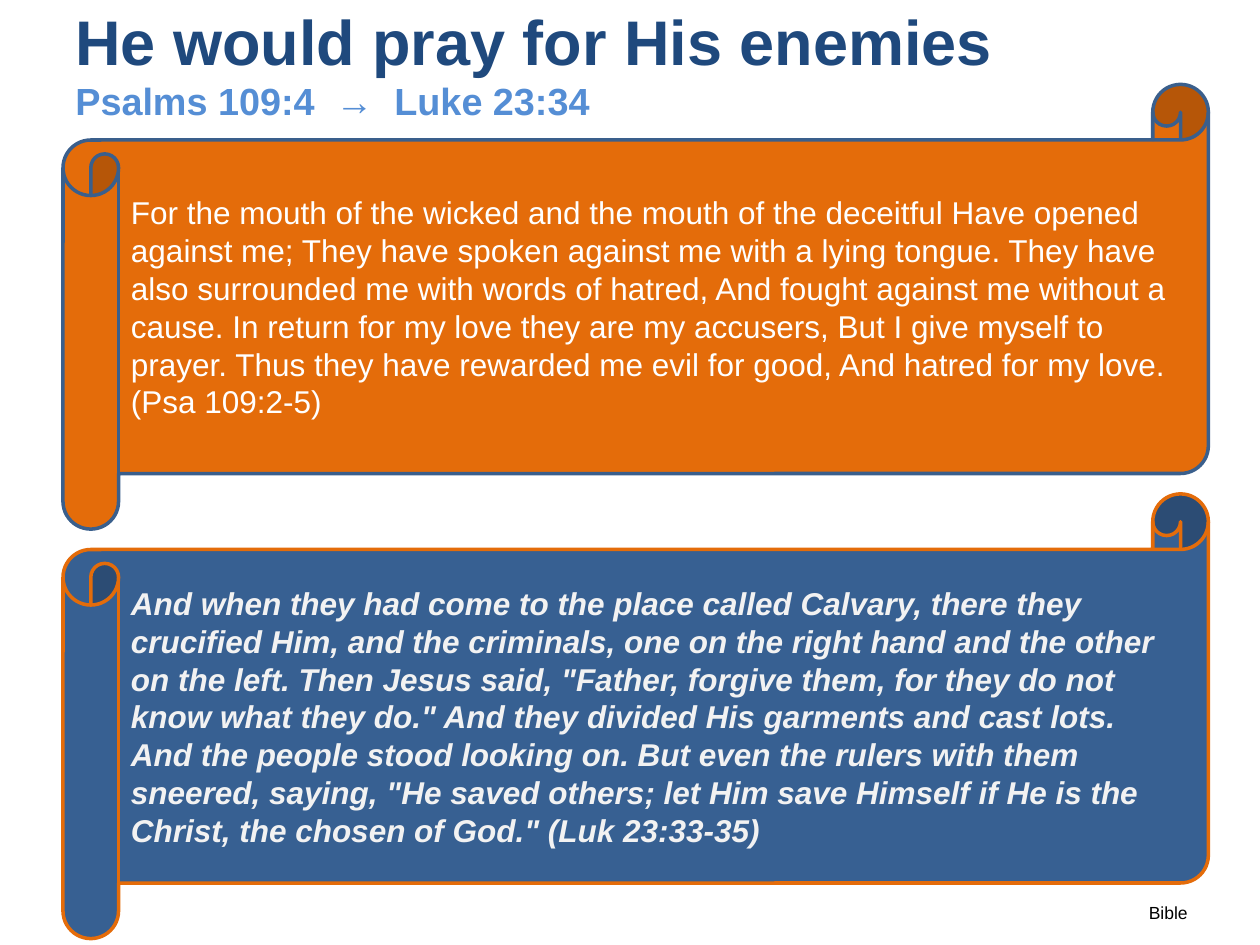
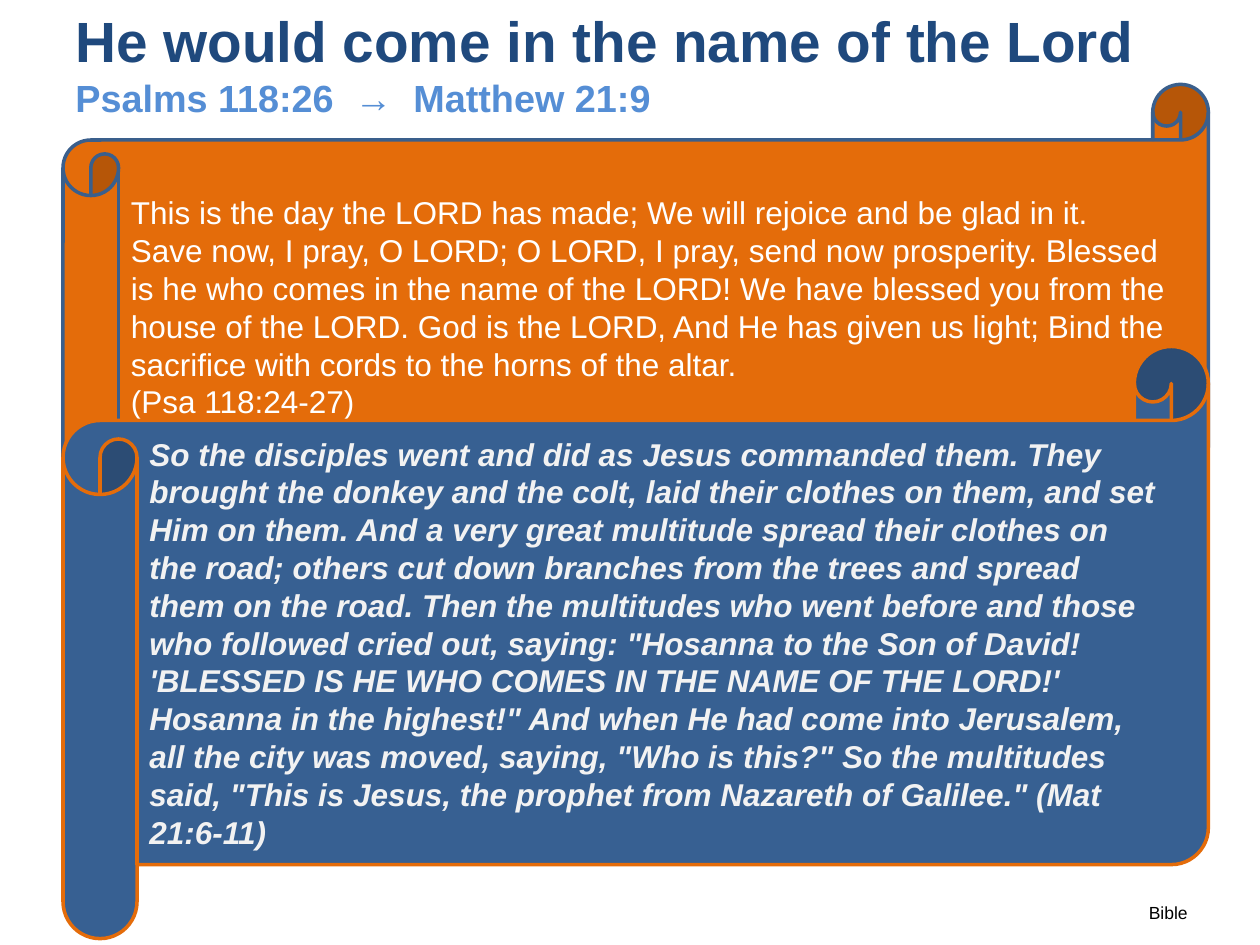
from dataclasses import dataclass

from pptx import Presentation
from pptx import util as u
from pptx.dml.color import RGBColor
from pptx.enum import shapes, text


@dataclass(frozen=True)
class Theme:
    font: str = "Arial"
    title: str = "1F497D"
    reference: str = "558ED5"
    orange: str = "E46C0A"
    blue: str = "376092"
    outline: str = "3A5F8C"
    white: str = "FFFFFF"
    pale: str = "F2F2F2"
    black: str = "000000"
    reference_size: float = 21.6
    verse_size: float = 18
    footer_size: float = 10
    line_width: float = 2


THEME = Theme()
LEFT, SCROLL_WIDTH = 0.5, 9.09
PROPHECY_TOP, PROPHECY_HEIGHT = 0.67, 3.53
SCROLLS_BOTTOM = 7.45


@dataclass(frozen=True)
class ScrollStyle:
    fill: str
    line: str
    ink: str
    emphasis: bool


PROPHECY_STYLE = ScrollStyle(THEME.orange, THEME.outline, THEME.white, False)
FULFILMENT_STYLE = ScrollStyle(THEME.blue, THEME.orange, THEME.pale, True)


@dataclass(frozen=True)
class ProphecySlide:
    title: str
    title_size: float
    title_width: float
    reference: str
    prophecy: str
    fulfilment: str
    fulfilment_top: float


SLIDES = [
    ProphecySlide(
        title="He would pray for His enemies",
        title_size=36,
        title_width=9,
        reference="Psalms 109:4  →  Luke 23:34",
        prophecy=(
            "For the mouth of the wicked and the mouth of the deceitful Have opened "
            "against me; They have spoken against me with a lying tongue. They have "
            "also surrounded me with words of hatred, And fought against me without a "
            "cause. In return for my love they are my accusers, But I give myself to "
            "prayer. Thus they have rewarded me evil for good, And hatred for my love.\n"
            "(Psa 109:2-5)"
        ),
        fulfilment=(
            "And when they had come to the place called Calvary, there they "
            "crucified Him, and the criminals, one on the right hand and the other "
            'on the left. Then Jesus said, "Father, forgive them, for they do not '
            'know what they do." And they divided His garments and cast lots. '
            "And the people stood looking on. But even the rulers with them "
            'sneered, saying, "He saved others; let Him save Himself if He is the '
            'Christ, the chosen of God." (Luk 23:33-35)'
        ),
        fulfilment_top=3.92,
    ),
    ProphecySlide(
        title="He would come in the name of the Lord",
        title_size=32.4,
        title_width=9.42,
        reference="Psalms 118:26  →  Matthew 21:9",
        prophecy=(
            "This is the day the LORD has made; We will rejoice and be glad in it. "
            "Save now, I pray, O LORD; O LORD, I pray, send now prosperity. Blessed "
            "is he who comes in the name of the LORD! We have blessed you from the "
            "house of the LORD. God is the LORD, And He has given us light; Bind the "
            "sacrifice with cords to the horns of the altar.\n"
            "(Psa 118:24-27)"
        ),
        fulfilment=(
            "So the disciples went and did as Jesus commanded them. They "
            "brought the donkey and the colt, laid their clothes on them, and set "
            "Him on them. And a very great multitude spread their clothes on "
            "the road; others cut down branches from the trees and spread "
            "them on the road. Then the multitudes who went before and those "
            'who followed cried out, saying: "Hosanna to the Son of David! '
            "'BLESSED IS HE WHO COMES IN THE NAME OF THE LORD!' "
            'Hosanna in the highest!" And when He had come into Jerusalem, '
            'all the city was moved, saying, "Who is this?" So the multitudes '
            'said, "This is Jesus, the prophet from Nazareth of Galilee." (Mat '
            "21:6-11)"
        ),
        fulfilment_top=2.75,
    ),
]


def style_run(r, size: float, color: str, bold: bool = False, italic: bool = False) -> None:
    r.font.name = THEME.font
    r.font.size = u.Pt(size)
    r.font.color.rgb = RGBColor.from_string(color)
    r.font.bold = bold
    r.font.italic = italic


def add_title(s, content: ProphecySlide) -> None:
    sp = s.shapes.add_textbox(u.Inches(LEFT), 0, u.Inches(content.title_width), u.Inches(1))
    tf = sp.text_frame
    tf.word_wrap = True
    tf.vertical_anchor = text.MSO_ANCHOR.MIDDLE
    p = tf.paragraphs[0]
    p.text = f"{content.title}\v{content.reference}"
    title, reference = p.runs
    style_run(title, content.title_size, THEME.title, bold=True)
    style_run(reference, THEME.reference_size, THEME.reference, bold=True)


def add_scroll(s, top: float, height: float, verse: str, style: ScrollStyle) -> None:
    sp = s.shapes.add_shape(
        shapes.MSO_SHAPE.HORIZONTAL_SCROLL,
        u.Inches(LEFT), u.Inches(top), u.Inches(SCROLL_WIDTH), u.Inches(height),
    )
    sp.shadow.inherit = False
    sp.fill.solid()
    sp.fill.fore_color.rgb = RGBColor.from_string(style.fill)
    sp.line.color.rgb = RGBColor.from_string(style.line)
    sp.line.width = u.Pt(THEME.line_width)
    tf = sp.text_frame
    tf.text = verse
    tf.word_wrap = True
    tf.vertical_anchor = text.MSO_ANCHOR.MIDDLE
    for p in tf.paragraphs:
        p.alignment = text.PP_ALIGN.LEFT
        for r in p.runs:
            style_run(r, THEME.verse_size, style.ink, style.emphasis, style.emphasis)


def add_footer(s) -> None:
    sp = s.shapes.add_textbox(u.Inches(9.02), u.Inches(7.11), u.Inches(0.56), u.Inches(0.27))
    tf = sp.text_frame
    tf.text = "Bible"
    tf.word_wrap = False
    tf.auto_size = text.MSO_AUTO_SIZE.SHAPE_TO_FIT_TEXT
    style_run(tf.paragraphs[0].runs[0], THEME.footer_size, THEME.black)


def add_prophecy_slide(prs, content: ProphecySlide) -> None:
    s = prs.slides.add_slide(prs.slide_layouts[6])
    add_title(s, content)
    # Prophecy above, fulfilment below
    add_scroll(s, PROPHECY_TOP, PROPHECY_HEIGHT, content.prophecy, PROPHECY_STYLE)
    add_scroll(s, content.fulfilment_top, SCROLLS_BOTTOM - content.fulfilment_top,
               content.fulfilment, FULFILMENT_STYLE)
    add_footer(s)


def main() -> None:
    prs = Presentation()
    prs.slide_width, prs.slide_height = u.Inches(10), u.Inches(7.5)
    for content in SLIDES:
        add_prophecy_slide(prs, content)
    prs.save("out.pptx")


if __name__ == "__main__":
    main()
